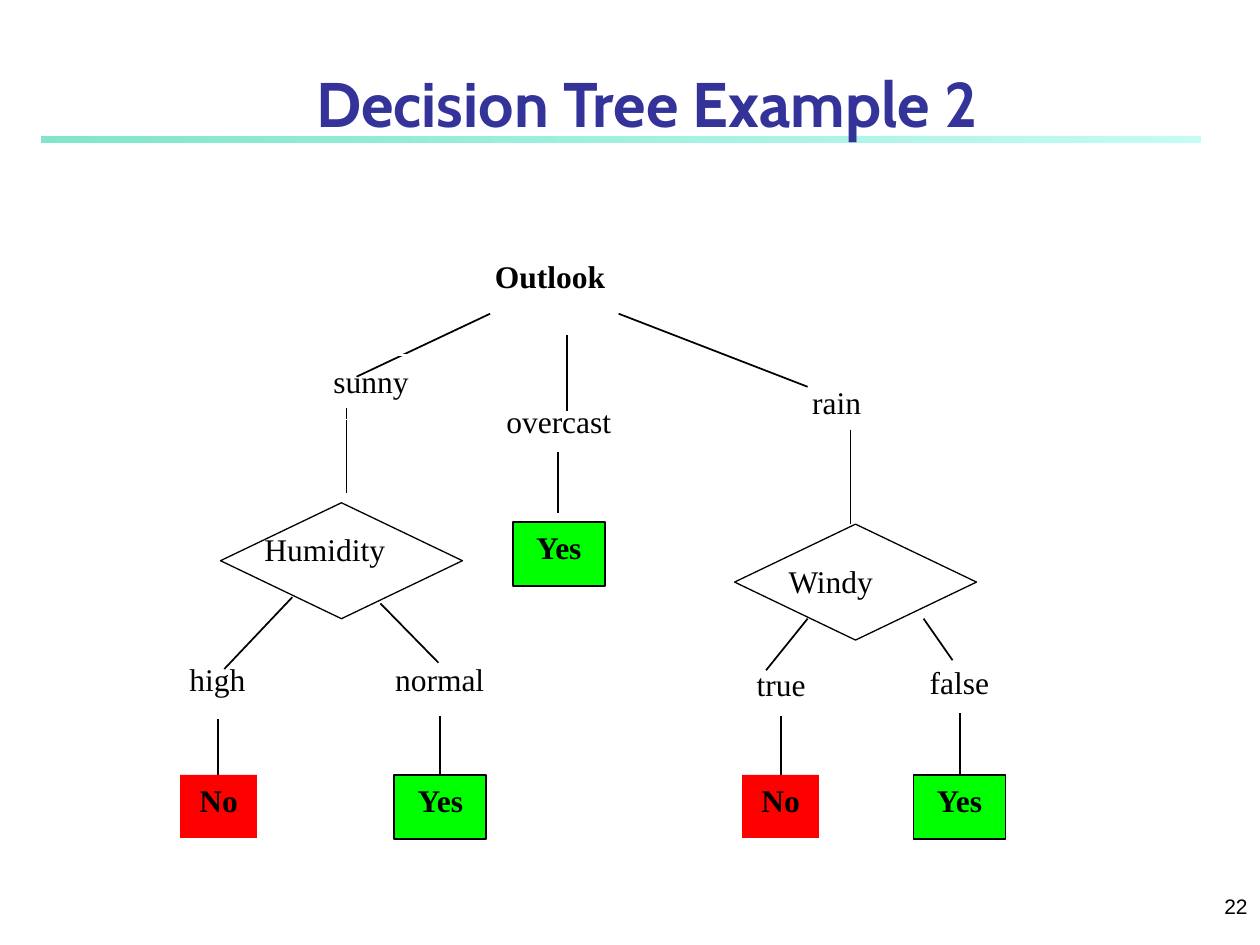
from lxml.etree import SubElement
from pptx import Presentation
from pptx.dml.color import RGBColor
from pptx.enum.shapes import MSO_CONNECTOR, MSO_SHAPE
from pptx.enum.text import MSO_ANCHOR, PP_ALIGN
from pptx.oxml.ns import qn
from pptx.util import Inches, Pt

COLORS = {"black": "000000", "white": "FFFFFF", "title": "333399",
          "no": "FF0000", "yes": "00FF00", "bar": ("00CE98", "8FF9EF")}
SERIF = "Times New Roman"

# Branch labels: text, left, top, width
LABELS = [
    ("overcast", 3.78, 3.14, 1.31), ("rain", 6.28, 2.99, 0.72),
    ("high", 1.33, 5.19, 0.79), ("normal", 2.92, 5.19, 1.14),
    ("true", 5.84, 5.23, 0.72), ("false", 7.2, 5.21, 0.83),
]
# Tested attributes: text, left, top, width, bold
TESTS = [
    ("Outlook", 3.83, 1.99, 1.37, True),
    ("Humidity", 2, 4.16, 1.48, False),
    ("Windy", 6.16, 4.41, 1.11, False),
]
DIAMONDS = [(1.75, 3.99), (5.83, 4.16)]
# Leaves: answer, left, top
LEAVES = [("No", 1.43, 6.15), ("No", 5.89, 6.15), ("Yes", 3.13, 6.15),
          ("Yes", 7.25, 6.15), ("Yes", 4.07, 4.14)]
LEAF_SIZE = {"No": (0.61, 0.5), "Yes": (0.73, 0.51)}

# Slanted branches: x1, y1, x2, y2
BRANCHES = [
    (3.89, 2.49, 2.83, 2.99), (4.91, 2.49, 6.41, 3.07),
    (2.32, 4.74, 1.78, 5.31), (3.02, 4.79, 3.48, 5.26),
    (6.41, 4.91, 6.08, 5.32), (7.33, 4.91, 7.56, 5.24),
]
# Upright stems: x, top, length, line width
STEMS = [
    (4.5, 2.66, 0.6, 1), (1.73, 5.71, 0.48, 1), (7.62, 5.66, 0.48, 1),
    (6.2, 5.68, 0.48, 1), (3.49, 5.68, 0.48, 1), (4.43, 3.59, 0.48, 1),
    (2.75, 3.24, 0.67, 0.75), (6.75, 3.41, 0.75, 0.75),
]


def rgb(name):
    return RGBColor.from_string(COLORS[name])


def write(shape, text, size=18, font=SERIF, color="black", bold=False,
          align=PP_ALIGN.CENTER, anchor=MSO_ANCHOR.TOP):
    frame = shape.text_frame
    frame.text = text
    frame.word_wrap = True
    frame.vertical_anchor = anchor
    para = frame.paragraphs[0]
    para.alignment = align
    style = para.runs[0].font
    style.size, style.name, style.bold = Pt(size), font, bold
    style.color.rgb = rgb(color)


def place(shape, *box):
    shape.left, shape.top, shape.width, shape.height = map(Inches, box)


def add_text(left, top, width, height, text, **style):
    box = shapes.add_textbox(*map(Inches, (left, top, width, height)))
    write(box, text, **style)


def add_shape(kind, box, fill=None, line=None, weight=1):
    shape = shapes.add_shape(kind, *map(Inches, box))
    shape.shadow.inherit = False
    if fill:
        shape.fill.solid()
        shape.fill.fore_color.rgb = rgb(fill)
    else:
        shape.fill.background()
    if line:
        shape.line.color.rgb = rgb(line)
        shape.line.width = Pt(weight)
    else:
        shape.line.fill.background()
    return shape


def add_line(x1, y1, x2, y2, weight=1):
    line = shapes.add_connector(MSO_CONNECTOR.STRAIGHT,
                                *map(Inches, (x1, y1, x2, y2)))
    line.line.color.rgb = rgb("black")
    line.line.width = Pt(weight)
    SubElement(line._element.spPr, qn("a:effectLst"))


def add_bar():
    """Add the half-transparent gradient rule behind the title."""
    bar = add_shape(MSO_SHAPE.RECTANGLE, (0.33, 1.08, 9.2, 0.05))
    bar.fill.gradient()
    bar.fill.gradient_angle = 0
    for stop, color in zip(bar.fill.gradient_stops, COLORS["bar"]):
        stop.color.rgb = RGBColor.from_string(color)
    for color, alpha in zip(bar._element.iter(qn("a:srgbClr")), (50, 52)):
        SubElement(color, qn("a:alpha")).set("val", str(alpha * 1000))
    shapes._spTree.insert(2, bar._element)


deck = Presentation()
deck.slide_width, deck.slide_height = Inches(10), Inches(7.5)
slide = deck.slides.add_slide(deck.slide_layouts[5])
shapes = slide.shapes

add_bar()
place(shapes.title, 0.67, 0.33, 8.93, 0.83)
write(shapes.title, "Decision Tree Example 2", size=36, font="Cabin",
      color="title", bold=True, anchor=MSO_ANCHOR.BOTTOM)

for branch in BRANCHES:
    add_line(*branch)
for x, top, length, weight in STEMS:
    add_line(x, top, x, top + length, weight)

# The white frame of this label cuts the branch above it
sunny = add_shape(MSO_SHAPE.RECTANGLE, (2.44, 2.82, 1.01, 0.51), line="white")
write(sunny, "sunny")
for text, *spot in LABELS:
    add_text(*spot, 0.5, text)
for answer, *spot in LEAVES:
    leaf = add_shape(MSO_SHAPE.RECTANGLE, (*spot, *LEAF_SIZE[answer]),
                     fill=answer.lower(),
                     line="black" if answer == "Yes" else None)
    write(leaf, answer, bold=True)
for spot in DIAMONDS:
    add_shape(MSO_SHAPE.DIAMOND, (*spot, 1.92, 0.92), line="black", weight=0.75)
for text, *spot, bold in TESTS:
    add_text(*spot, 0.5, text, bold=bold, align=PP_ALIGN.LEFT)

add_text(7.92, 6.92, 2.08, 0.42, "22", size=12, font="Arial",
         align=PP_ALIGN.RIGHT, anchor=MSO_ANCHOR.BOTTOM)

deck.save("out.pptx")
